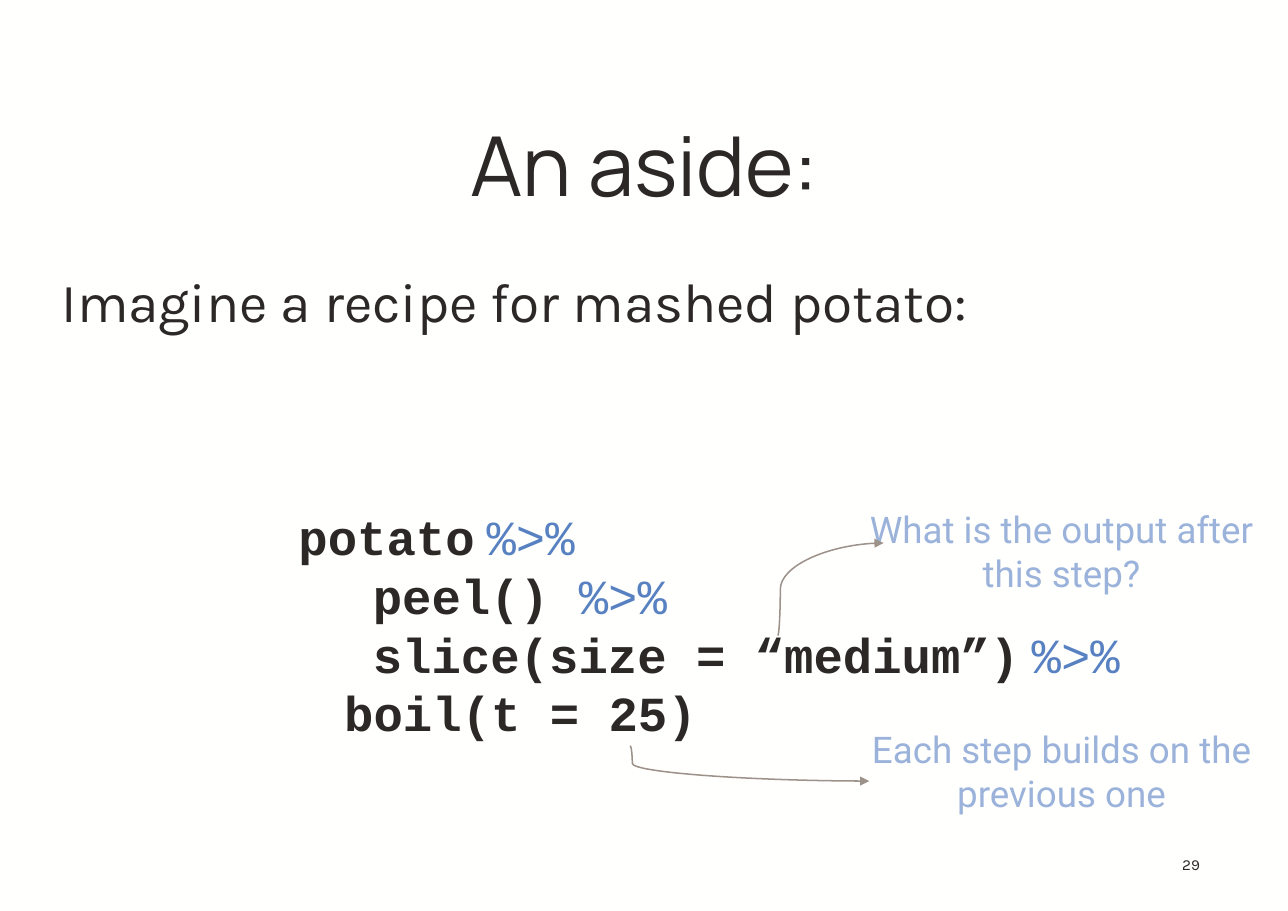
import pptx
import pptx.util
import pptx.dml.color
import pptx.enum.shapes
import pptx.enum.text
import pptx.oxml
import pptx.oxml.ns
import lxml.etree

PX = 9144  # 100 px to the inch
PAPER = pptx.dml.color.RGBColor(0xFF, 0xFF, 0xFE)
INK = pptx.dml.color.RGBColor(0x2C, 0x28, 0x25)
BLUE = pptx.dml.color.RGBColor(0x58, 0x81, 0xC1)
PALE = pptx.dml.color.RGBColor(0x9B, 0xB3, 0xDA)
GREY = pptx.dml.color.RGBColor(0x9D, 0x92, 0x8A)
ALIGN = pptx.enum.text.PP_ALIGN
ANCHOR = pptx.enum.text.MSO_ANCHOR

deck = pptx.Presentation()
deck.slide_width, deck.slide_height = 1169 * PX, 827 * PX
slide = deck.slides.add_slide(deck.slide_layouts[6])
slide.background.fill.solid()
slide.background.fill.fore_color.rgb = PAPER


def add_box(left, top, width, height, inset=None):
    box = slide.shapes.add_textbox(left * PX, top * PX, width * PX, height * PX)
    frame = box.text_frame
    frame.word_wrap = True
    if inset:
        frame.margin_left = frame.margin_right = inset * PX
        frame.margin_top = frame.margin_bottom = inset * PX
    return frame


def style(run, face, size, color, bold=False):
    font = run.font
    font.name, font.size, font.bold = face, pptx.util.Pt(size), bold
    font.color.rgb = color


# Title, lead sentence and page number
labels = [
    ("An aside:", (73, 122, 1024, 79), "Manrope", 54, ALIGN.CENTER),
    ("Imagine a recipe for mashed potato:", (28, 223, 1118, 544), "Karla", 36, ALIGN.LEFT),
    ("29", (1018, 768, 79, 40), "Karla", 10, ALIGN.RIGHT),
]
for text, place, face, size, align in labels:
    frame = add_box(*place, inset=8)
    frame.text = text
    para = frame.paragraphs[0]
    para.alignment = align
    style(para.runs[0], face, size, INK)
    if size == 54:
        frame.vertical_anchor = ANCHOR.BOTTOM
    elif size == 36:
        para.line_spacing = 1.2
        para._p.get_or_add_pPr().set("marL", str(20 * PX))

# Recipe code: indent, lead, call, gap, pipe
steps = [
    (20, "", "potato", " ", "%>%"),
    (77, " ", "peel() ", "", "%>%"),
    (77, " ", "slice(size = “medium”)", " ", "%>%"),
    (51, " ", "boil(t = 25)", "", ""),
]
frame = add_box(241, 455, 789, 226)
for row, (indent, lead, call, gap, pipe) in enumerate(steps):
    para = frame.add_paragraph() if row else frame.paragraphs[0]
    para._p.get_or_add_pPr().set("marL", str(indent * PX))
    parts = [
        (lead, "Karla", INK, False),
        (call, "Courier New", INK, True),
        (gap, "Karla", INK, False),
        (pipe, "Courier New", BLUE, False),
    ]
    for text, face, color, bold in parts:
        if text:
            run = para.add_run()
            run.text = text
            style(run, face, 32, color, bold)

# Side notes
frame = add_box(767, 455, 393, 293)
frame.text = "What is the output after this step?\nEach step builds on the previous one"
for para in frame.paragraphs:
    para.alignment = ALIGN.CENTER
    style(para.runs[0], "Roboto", 24, PALE)
frame.paragraphs[1].space_before = pptx.util.Pt(86)

# Curved arrows from the code to the notes
arrows = [((706, 577, 802, 493), 2400), ((572, 677, 789, 709), 900)]
for ends, bend in arrows:
    arrow = slide.shapes.add_connector(
        pptx.enum.shapes.MSO_CONNECTOR.CURVE, *[end * PX for end in ends])
    arrow.line.color.rgb = GREY
    arrow.line.width = pptx.util.Pt(1)
    props = arrow._element.spPr
    guides = props.find(".//" + pptx.oxml.ns.qn("a:avLst"))
    lxml.etree.SubElement(
        guides, pptx.oxml.ns.qn("a:gd"), name="adj1", fmla=f"val {bend}")
    lxml.etree.SubElement(
        arrow.line._get_or_add_ln(), pptx.oxml.ns.qn("a:tailEnd"), type="triangle")
    lxml.etree.SubElement(props, pptx.oxml.ns.qn("a:effectLst"))

deck.save("out.pptx")
